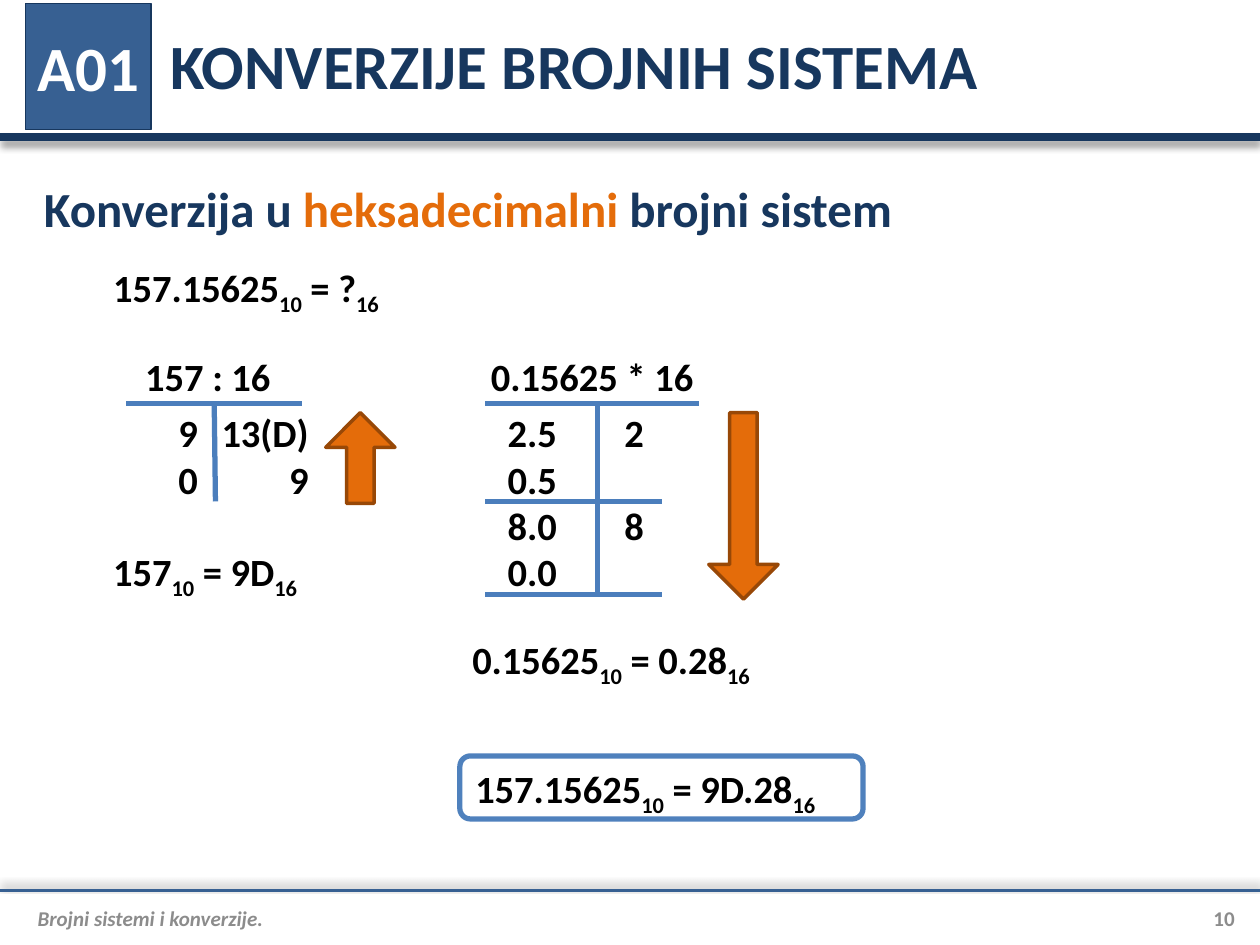
from lxml.etree import SubElement
from pptx import Presentation
from pptx.dml.color import RGBColor
from pptx.enum.shapes import MSO_CONNECTOR, MSO_SHAPE
from pptx.enum.text import MSO_ANCHOR, MSO_AUTO_SIZE, PP_ALIGN
from pptx.oxml.ns import qn
from pptx.util import Inches, Pt

COLORS = {
    "navy": "17375E", "blue": "376092", "line": "4B7EBC", "frame": "4F81BD",
    "orange": "E46C0A", "brown": "984807", "gray": "8C8C8C",
    "black": "000000", "white": "FFFFFF",
}
FONT = {"name": "Calibri", "size": Pt(22), "bold": True}
FRAME = {"word_wrap": True, "auto_size": MSO_AUTO_SIZE.NONE}
NO_MARGINS = {"margin_left": 0, "margin_right": 0, "margin_top": 0, "margin_bottom": 0}
SIDE_MARGINS = {"margin_left": 0, "margin_right": 0}
MIDDLE = {"vertical_anchor": MSO_ANCHOR.MIDDLE}


def rgb(name):
    return RGBColor.from_string(COLORS[name])


def set_attributes(target, values):
    for name, value in values.items():
        setattr(target, name, value)


def write_text(shape, paragraphs, font=None, frame=None, align=PP_ALIGN.LEFT):
    text_frame = shape.text_frame
    set_attributes(text_frame, {**FRAME, **(frame or {})})
    for index, runs in enumerate(paragraphs):
        paragraph = text_frame.add_paragraph() if index else text_frame.paragraphs[0]
        paragraph.alignment = align
        for text, color in runs:
            run = paragraph.add_run()
            run.text = text
            set_attributes(run.font, {**FONT, **(font or {})})
            run.font.color.rgb = rgb(color)


def add_text(slide, box, paragraphs, **options):
    shape = slide.shapes.add_textbox(*map(Inches, box))
    write_text(shape, paragraphs, **options)
    return shape


def add_shape(slide, kind, box, fill, line, width):
    shape = slide.shapes.add_shape(kind, *map(Inches, box))
    shape.shadow.inherit = False
    if fill:
        shape.fill.solid()
        shape.fill.fore_color.rgb = rgb(fill)
    else:
        shape.fill.background()
    shape.line.color.rgb = rgb(line)
    shape.line.width = Pt(width)
    return shape


def add_line(slide, start, end, color="line", width=3, shadow_angle=None):
    connector = slide.shapes.add_connector(
        MSO_CONNECTOR.STRAIGHT, *map(Inches, (*start, *end)))
    connector.line.color.rgb = rgb(color)
    connector.line.width = Pt(width)
    effects = SubElement(connector._element.spPr, qn("a:effectLst"))
    if shadow_angle is not None:
        shadow = SubElement(effects, qn("a:outerShdw"), blurRad=str(Pt(4)),
                            dist=str(Pt(3)), dir=str(shadow_angle * 60000),
                            rotWithShape="0")
        shadow_color = SubElement(shadow, qn("a:srgbClr"), val=COLORS["black"])
        SubElement(shadow_color, qn("a:alpha"), val="40000")


def write_equation(shape, number, result):
    write_text(shape, [[(text, "black") for text in (number, "10", result, "16")]])
    for run in shape.text_frame.paragraphs[0].runs[1::2]:
        run.font._element.set("baseline", "-25000")


def add_equation(slide, box, number, result):
    write_equation(slide.shapes.add_textbox(*map(Inches, box)), number, result)


def add_tabbed_rows(slide, box, rows, tabs):
    shape = add_text(slide, box, [[("\t" + "\t".join(row), "black")] for row in rows],
                     frame=SIDE_MARGINS)
    for paragraph in shape.text_frame.paragraphs:
        tab_list = SubElement(paragraph._p.get_or_add_pPr(), qn("a:tabLst"))
        for position in tabs:
            SubElement(tab_list, qn("a:tab"), pos=str(Inches(position)), algn="r")


def add_arrow(slide, box, rotation):
    arrow = add_shape(slide, MSO_SHAPE.RIGHT_ARROW, box, "orange", "brown", 2)
    arrow.rotation = rotation
    arrow.adjustments[0] = 0.396
    arrow.adjustments[1] = 0.5


def build_header(slide, left, top, width):
    add_line(slide, (left, top + 1.09), (left + width, top + 1.09), "navy", 4.5, 90)
    title = slide.shapes.title
    for name, value in zip(("left", "top", "width", "height"),
                           (left + 1.25, top + 0.01, width - 1.45, 1)):
        setattr(title, name, Inches(value))
    write_text(title, [[("KONVERZIJE BROJNIH SISTEMA", "navy")]],
               font={"size": Pt(36)}, frame=MIDDLE)
    badge = add_shape(slide, MSO_SHAPE.RECTANGLE, (left + 0.2, top + 0.03, 1, 1),
                      "blue", "navy", 0.75)
    write_text(badge, [[("A01", "white")]], font={"size": Pt(36)},
               frame={**MIDDLE, **NO_MARGINS}, align=PP_ALIGN.CENTER)
    badge.text_frame.paragraphs[0].space_before = Pt(7.2)


def build_footer(slide, left, top, width):
    add_line(slide, (left, top), (left + width, top), "blue", 1.5, 270)
    frame = {**MIDDLE, **NO_MARGINS}
    add_text(slide, (left + 0.2, top + 0.04, width - 0.9, 0.35),
             [[("Brojni sistemi i konverzije.", "gray")]],
             font={"size": Pt(12), "italic": True},
             frame={**frame, "margin_left": Inches(0.1)})
    add_text(slide, (left + width - 0.7, top + 0.04, 0.5, 0.35), [[("10", "gray")]],
             font={"size": Pt(12)}, frame=frame, align=PP_ALIGN.RIGHT)


def build_task(slide, left, top):
    add_text(slide, (left, top, 8.42, 0.5),
             [[("Konverzija u ", "navy"), ("heksadecimalni ", "orange"),
               ("brojni sistem", "navy")]],
             font={"size": Pt(28)}, frame=MIDDLE)
    add_equation(slide, (left + 0.55, top + 0.65, 4, 0.5), "157.15625", " = ?")


def build_whole_part(slide, left, top):
    rule = top + 0.45
    add_text(slide, (left + 0.2, top, 1.3, 0.5), [[("157 : 16", "black")]],
             align=PP_ALIGN.CENTER)
    add_tabbed_rows(slide, (left + 0.15, rule, 1.5, 0.84),
                    [("9", "13(D)"), ("0", "9")], (0.62, 1.5))
    add_line(slide, (left + 0.2, rule), (left + 1.6, rule))
    add_line(slide, (left + 0.9, rule), (left + 0.91, rule + 0.78))
    add_arrow(slide, (left + 1.7, rule + 0.16, 0.72, 0.55), 270)
    add_equation(slide, (left, top + 1.55, 1.97, 0.5), "157", " = 9D")


def build_fraction_part(slide, left, top):
    rule = top + 0.45
    add_text(slide, (left + 0.1, top, 1.9, 0.5), [[("0.15625 * 16", "black")]],
             align=PP_ALIGN.CENTER)
    add_tabbed_rows(slide, (left + 0.15, rule, 1.42, 1.58),
                    [("2.5", "2"), ("0.5",), ("8.0", "8"), ("0.0",)], (0.62, 1.31))
    for offset, length in ((0, 1.7), (0.78, 1.4), (1.52, 1.4)):
        add_line(slide, (left + 0.2, rule + offset), (left + 0.2 + length, rule + offset))
    add_line(slide, (left + 1.09, rule), (left + 1.09, rule + 1.5))
    add_arrow(slide, (left + 1.51, rule + 0.54, 1.48, 0.55), 90)
    add_equation(slide, (left, top + 2.25, 2.5, 0.5), "0.15625", " = 0.28")


def build_result(slide, left, top):
    box = add_shape(slide, MSO_SHAPE.FLOWCHART_ALTERNATE_PROCESS,
                    (left, top, 3.2, 0.5), None, "frame", 3)
    box.text_frame.vertical_anchor = MSO_ANCHOR.TOP
    write_equation(box, "157.15625", " = 9D.28")


def main():
    presentation = Presentation()
    presentation.slide_width = Inches(10)
    presentation.slide_height = Inches(7.5)
    slide = presentation.slides.add_slide(presentation.slide_layouts[5])
    build_header(slide, 0, 0, 10)
    build_footer(slide, 0, 7.07, 10)
    build_task(slide, 0.25, 1.4)
    build_whole_part(slide, 0.8, 2.75)
    build_fraction_part(slide, 3.65, 2.75)
    build_result(slide, 3.65, 6)
    presentation.save("out.pptx")


if __name__ == "__main__":
    main()
